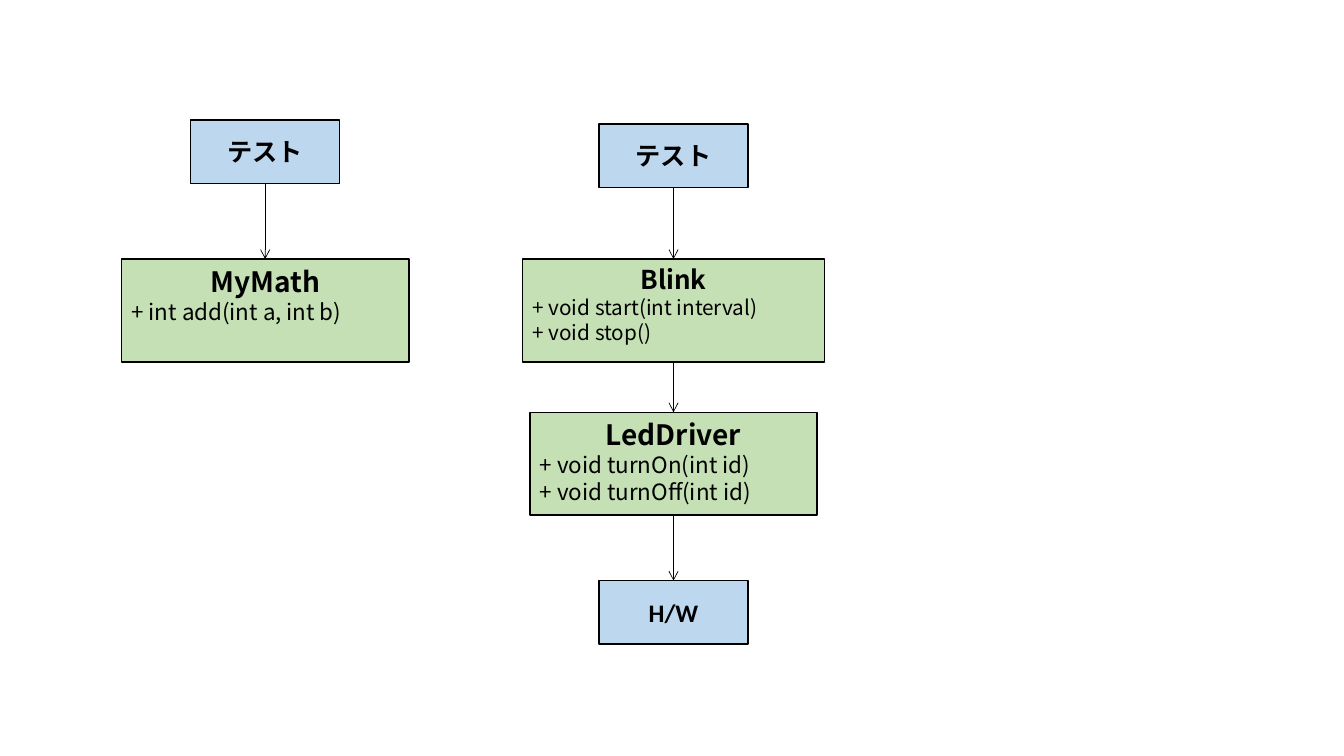
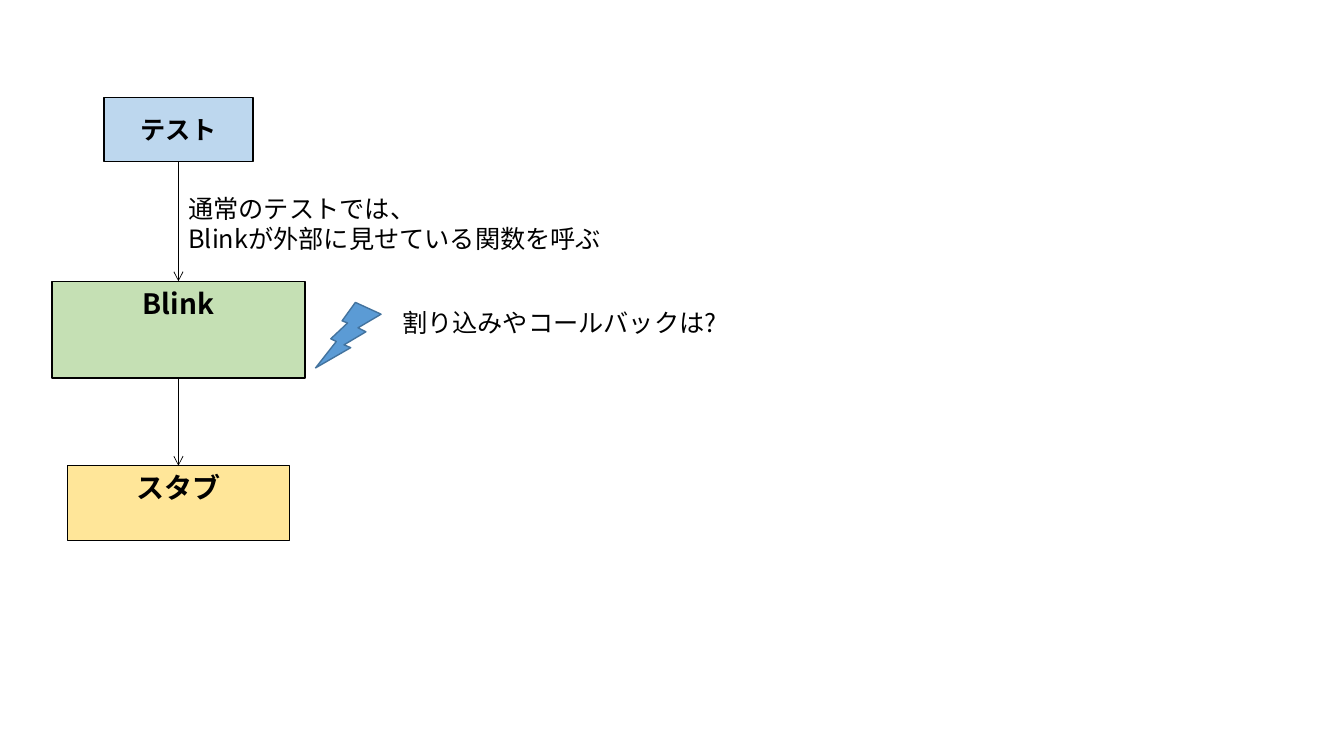
from dataclasses import dataclass
from itertools import pairwise

from lxml.etree import SubElement
from pptx import Presentation
from pptx.dml.color import RGBColor
from pptx.enum.shapes import MSO_CONNECTOR as Connector, MSO_SHAPE as Preset
from pptx.enum.text import MSO_ANCHOR as Anchor, PP_ALIGN as Align
from pptx.oxml.ns import qn
from pptx.util import Inches, Pt


@dataclass(frozen=True)
class Theme:
    """Colours, fonts and sizes shared by both slides."""
    ink: str = "000000"
    outer: str = "BDD7EE"
    module: str = "C5E0B4"
    stub: str = "FFE699"
    bolt: str = "5B9BD5"
    bolt_edge: str = "43739E"
    font: str = "Noto Sans CJK JP"
    label_font: str = "Calibri"
    title_size: float = 20
    member_size: float = 16
    label_size: float = 18
    edge: float = 1
    arrow: float = 0.5


THEME = Theme()


@dataclass(frozen=True)
class Box:
    """A box in a chain; its left edge follows from the chain's centre."""
    title: str
    top: float
    width: float = 1.48
    height: float = 0.63
    fill: str = THEME.outer
    members: tuple = ()
    scale: float = 1


def write(paragraph, text, *, size, font=THEME.font, bold=False, align=Align.LEFT):
    """Put formatted text into a paragraph."""
    paragraph.alignment = align
    run = paragraph.add_run()
    run.text = text
    run.font.size = Pt(size)
    run.font.bold = bold
    run.font.name = font
    run.font.color.rgb = RGBColor.from_string(THEME.ink)
    SubElement(run.font._element, qn("a:ea"), typeface=THEME.font)


def add_preset(slide, preset, left, top, width, height, fill, edge):
    """Add a filled, outlined preset shape without a shadow."""
    shape = slide.shapes.add_shape(
        preset, Inches(left), Inches(top), Inches(width), Inches(height))
    shape.shadow.inherit = False
    shape.fill.solid()
    shape.fill.fore_color.rgb = RGBColor.from_string(fill)
    shape.line.color.rgb = RGBColor.from_string(edge)
    shape.line.width = Pt(THEME.edge)
    return shape


def draw_box(slide, centre, box):
    """Draw a labelled outer box, or a class box with its members."""
    shape = add_preset(slide, Preset.RECTANGLE, centre - box.width / 2, box.top,
                       box.width, box.height, box.fill, THEME.ink)
    frame = shape.text_frame
    frame.word_wrap = True
    is_label = box.fill == THEME.outer
    frame.vertical_anchor = Anchor.MIDDLE if is_label else Anchor.TOP
    write(frame.paragraphs[0], box.title, bold=True, align=Align.CENTER,
          size=THEME.label_size if is_label else THEME.title_size * box.scale,
          font=THEME.label_font if is_label else THEME.font)
    for member in box.members:
        write(frame.add_paragraph(), member, size=THEME.member_size * box.scale)


def draw_arrow(slide, centre, top, bottom):
    """Draw a thin vertical arrow pointing down."""
    connector = slide.shapes.add_connector(
        Connector.STRAIGHT, Inches(centre), Inches(top), Inches(centre), Inches(bottom))
    connector.line.color.rgb = RGBColor.from_string(THEME.ink)
    connector.line.width = Pt(THEME.arrow)
    SubElement(connector.line._get_or_add_ln(), qn("a:tailEnd"), type="arrow")
    SubElement(connector._element.spPr, qn("a:effectLst"))


def draw_chain(slide, centre, boxes):
    """Draw boxes on one vertical axis, each calling the next."""
    for box in boxes:
        draw_box(slide, centre, box)
    for caller, callee in pairwise(boxes):
        draw_arrow(slide, centre, caller.top + caller.height, callee.top)


def draw_note(slide, left, top, width, height, lines, wrap=False):
    """Write a free-standing note, one paragraph per line."""
    note = slide.shapes.add_textbox(
        Inches(left), Inches(top), Inches(width), Inches(height))
    frame = note.text_frame
    frame.word_wrap = wrap
    for index, line in enumerate(lines):
        paragraph = frame.add_paragraph() if index else frame.paragraphs[0]
        write(paragraph, line, size=THEME.label_size)


def draw_bolt(slide, left, top, size):
    """Draw a lightning bolt striking towards the lower left."""
    bolt = add_preset(slide, Preset.LIGHTNING_BOLT, left, top, size, size,
                      THEME.bolt, THEME.bolt_edge)
    bolt._element.spPr.find(qn("a:xfrm")).set("flipH", "1")


def build_class_slide(slide):
    """Show the tests of a plain class and of a class that drives hardware."""
    draw_chain(slide, 2.63, [
        Box("テスト", 1.19),
        Box("MyMath", 2.57, 2.85, 1.02, THEME.module, ("+ int add(int a, int b)",)),
    ])
    draw_chain(slide, 6.68, [
        Box("テスト", 1.23),
        Box("Blink", 2.57, 2.99, 1.02, THEME.module,
            ("+ void start(int interval)", "+ void stop()"), scale=0.925),
        Box("LedDriver", 4.09, 2.85, 1.02, THEME.module,
            ("+ void turnOn(int id)", "+ void turnOff(int id)")),
        Box("H/W", 5.76),
    ])


def build_interrupt_slide(slide):
    """Show a test with a stub, and the question of interrupts."""
    centre = 1.77
    draw_chain(slide, centre, [
        Box("テスト", 0.97),
        Box("Blink", 2.79, 2.51, 0.96, THEME.module),
        Box("スタブ", 4.62, 2.2, 0.74, THEME.stub),
    ])
    draw_note(slide, centre, 1.87, 4.37, 0.71,
              ["通常のテストでは、", "Blinkが外部に見せている関数を呼ぶ"])
    draw_bolt(slide, 3.13, 3, 0.65)
    draw_note(slide, 3.89, 3, 3.36, 0.4, ["割り込みやコールバックは?"], wrap=True)


def main():
    """Build and save the presentation."""
    presentation = Presentation()
    presentation.slide_width = Inches(13.33)
    presentation.slide_height = Inches(7.5)
    blank = presentation.slide_layouts[6]
    for build in (build_class_slide, build_interrupt_slide):
        build(presentation.slides.add_slide(blank))
    presentation.save("out.pptx")


main()
